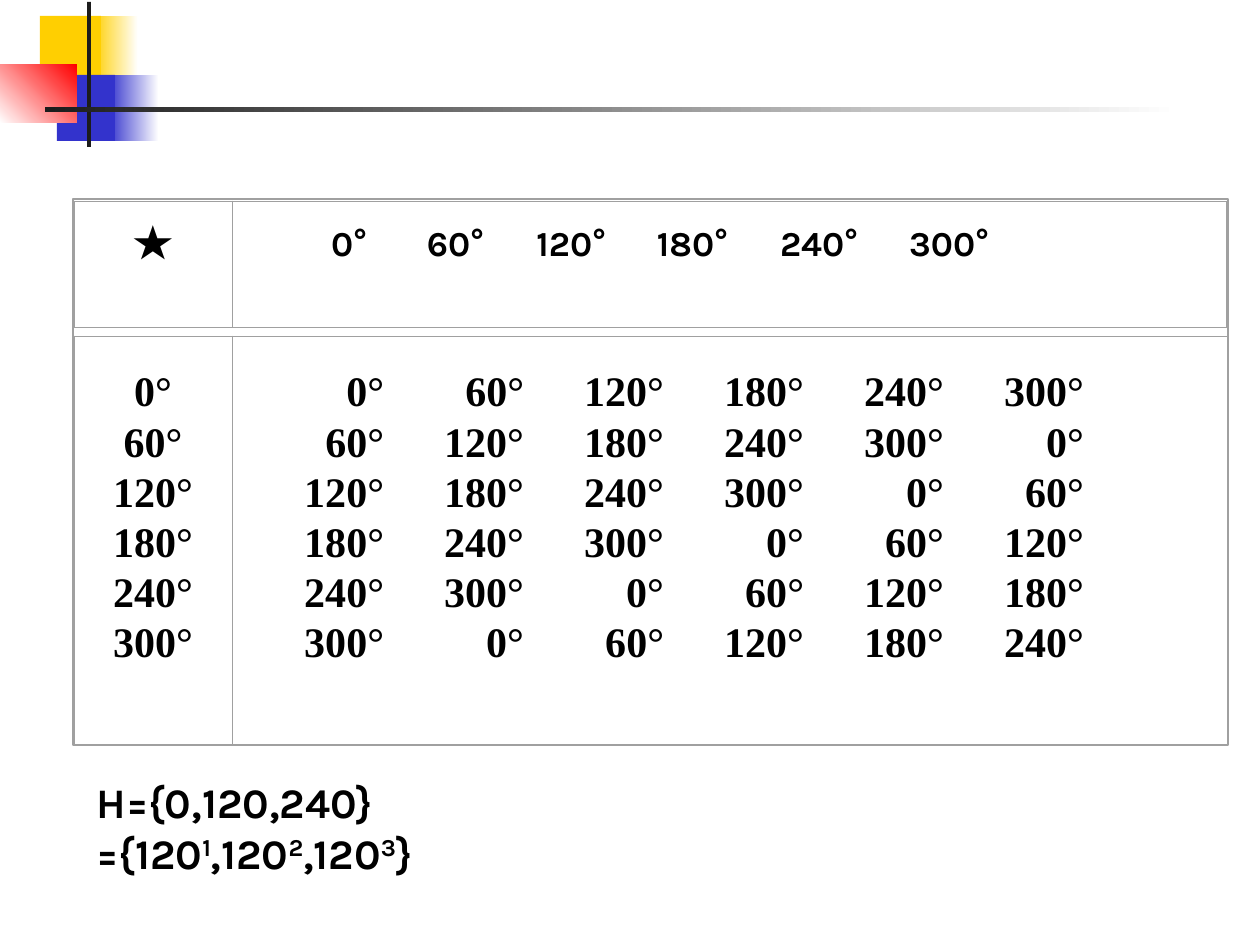
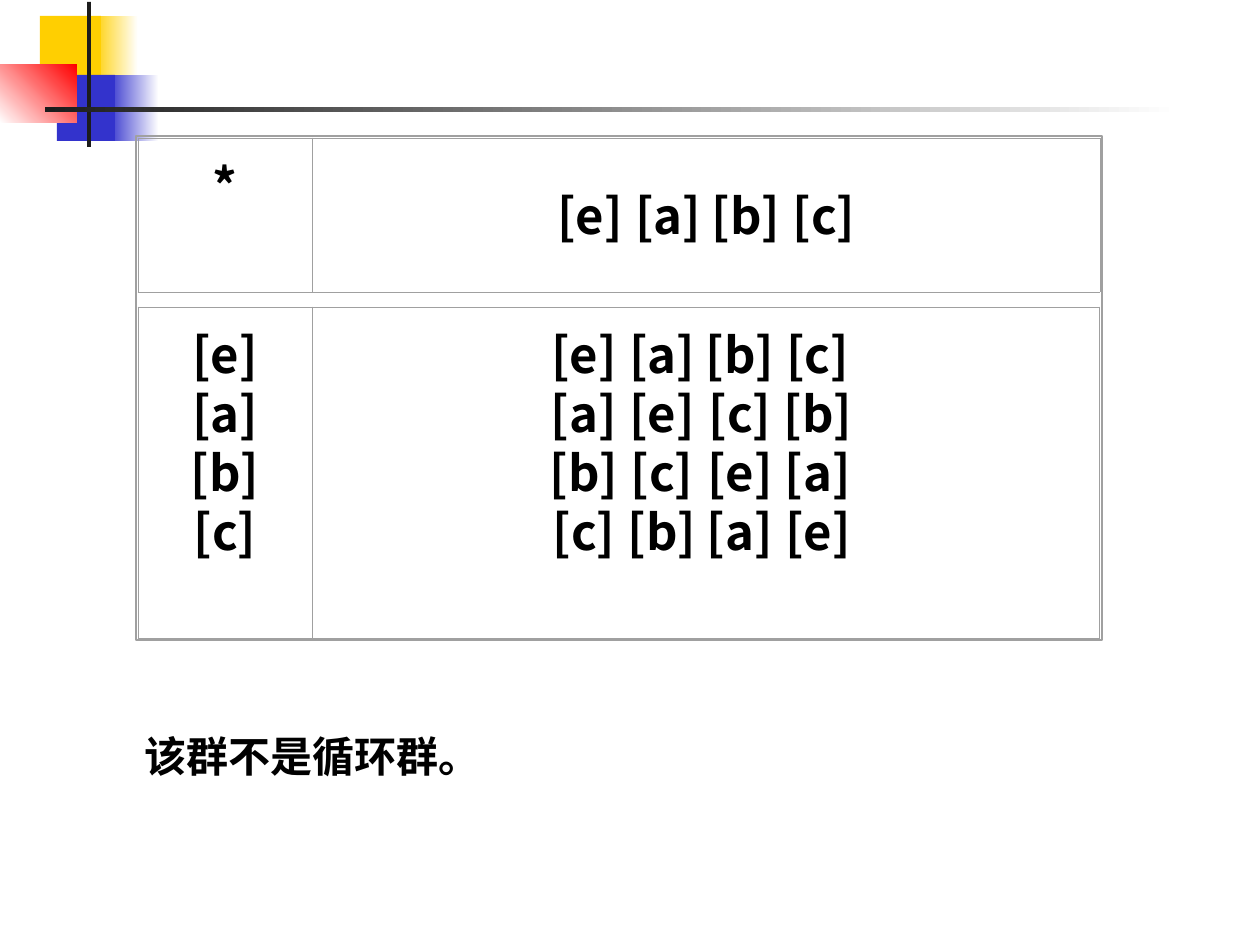
from lxml.etree import SubElement
from pptx import Presentation
from pptx.dml.color import RGBColor
from pptx.enum.shapes import MSO_SHAPE
from pptx.enum.text import MSO_ANCHOR, PP_ALIGN
from pptx.oxml.ns import qn
from pptx.util import Emu, Pt

PX = 914400 / 126
COLORS = {
    "yellow": "FFCF01",
    "blue": "3333CC",
    "red": "FF0000",
    "ink": "1C1C1C",
    "white": "FFFFFF",
    "grid": "A0A0A0",
    "text": "000000",
}
TIMES = {"name": "Times New Roman", "size": Pt(24), "bold": True}
KARLA = {"name": "Karla", "size": Pt(24), "bold": True}
KARLA_SMALL = {**KARLA, "size": Pt(20)}
NOTO = {"name": "Noto Sans CJK SC", "size": Pt(28), "bold": True}
BAND = [
    ((93, 16, 45, 66), ("yellow", "white"), 0),
    ((108, 75, 51, 66), ("blue", "white"), 0),
    ((40, 16, 61, 66), ("yellow",), 0),
    ((57, 75, 58, 66), ("blue",), 0),
    ((0, 65, 77, 58), ("white", "red"), 45),
    ((87, 2, 4, 145), ("ink",), 0),
    ((45, 107, 1134, 5), ("ink", "white"), 0),
]


def px(n):
    return Emu(round(n * PX))


def rgb(key):
    return RGBColor.from_string(COLORS[key])


def add_rect(slide, box):
    s = slide.shapes.add_shape(MSO_SHAPE.RECTANGLE, *map(px, box))
    s.shadow.inherit = False
    return s


def add_band(slide):
    for box, keys, angle in BAND:
        s = add_rect(slide, box)
        s.line.fill.background()
        if len(keys) == 1:
            s.fill.solid()
            s.fill.fore_color.rgb = rgb(keys[0])
            continue
        s.fill.gradient()
        s.fill.gradient_angle = angle
        for stop, key, position in zip(s.fill.gradient_stops, keys, (0, 1)):
            stop.color.rgb = rgb(key)
            stop.position = position


def add_frame(slide, box):
    s = add_rect(slide, box)
    s.fill.background()
    s.line.color.rgb = rgb("grid")
    s.line.width = Pt(0.88)


def add_run(p, text, fmt):
    r = p.add_run()
    r.text = text
    r.font.color.rgb = rgb("text")
    for name, value in fmt.items():
        setattr(r.font, name, value)
    return r


def set_borders(cell, visible):
    tcPr = cell._tc.get_or_add_tcPr()
    for i, side in enumerate("LRTB"):
        ln = SubElement(tcPr, qn(f"a:ln{side}"), w="6350")
        if side in visible:
            fill = SubElement(ln, qn("a:solidFill"))
            SubElement(fill, qn("a:srgbClr"), val=COLORS["grid"])
        else:
            SubElement(ln, qn("a:noFill"))
        tcPr.insert(i, ln)


def add_grid(slide, rows, top, height, pitch, feet, sides, stops, align, formats):
    left, divider, right = sides
    edges = [left, divider, *stops[1:-1], right]
    heights = [pitch] * len(rows)
    heights[-1] += feet[1]
    heights[0] += height - sum(heights)
    last_row, last_col = len(rows) - 1, len(edges) - 2
    tbl = slide.shapes.add_table(
        len(rows), last_col + 1, px(left), px(top), px(right - left), px(height)
    ).table
    tbl.first_row = tbl.horz_banding = False
    for col, start, end in zip(tbl.columns, edges, edges[1:]):
        col.width = px(end - start)
    for i, values in enumerate(rows):
        tbl.rows[i].height = px(heights[i])
        for j, value in enumerate(values):
            cell = tbl.cell(i, j)
            is_value = j > 0
            margins = {
                "margin_left": stops[0] - divider if j == 1 else 0,
                "margin_right": right - stops[-1] if j == last_col else 0,
                "margin_top": 0,
                "margin_bottom": feet[is_value] if i == last_row else 0,
            }
            for name, length in margins.items():
                setattr(cell, name, px(length))
            cell.vertical_anchor = MSO_ANCHOR.BOTTOM
            cell.fill.background()
            visible = {"L": j < 2, "R": j in (0, last_col), "T": i == 0, "B": i == last_row}
            set_borders(cell, [side for side, shown in visible.items() if shown])
            p = cell.text_frame.paragraphs[0]
            p.alignment = align if is_value else PP_ALIGN.CENTER
            p.line_spacing = Pt(round(pitch * 72 / 126, 1))
            add_run(p, value, formats[is_value])


def add_note(slide, box, lines):
    tf = slide.shapes.add_textbox(*map(px, box)).text_frame
    tf.word_wrap = True
    for i, parts in enumerate(lines):
        p = tf.add_paragraph() if i else tf.paragraphs[0]
        p.line_spacing = Pt(29)
        for j, part in enumerate(parts):
            r = add_run(p, part, KARLA)
            if j % 2:
                r._r.get_or_add_rPr().set("baseline", "30000")


def add_rotation_slide(slide):
    angles = [f"{n}°" for n in range(0, 360, 60)]
    body = [[a, *angles[i:], *angles[:i]] for i, a in enumerate(angles)]
    sides = (74, 232, 1227)
    add_grid(slide, [["★", *angles]], 201, 126, 50, (62, 62), sides,
             [232, 367, 484, 606, 728, 858, 989], PP_ALIGN.RIGHT, (TIMES, KARLA_SMALL))
    add_grid(slide, body, 336, 409, 50, (79, 79), sides,
             [232, *range(384, 1100, 140)], PP_ALIGN.RIGHT, (TIMES, TIMES))
    add_frame(slide, (73, 199, 1155, 546))
    add_note(slide, (84, 770, 596, 113), [
        ["H={0,120,240}"],
        ["={120", "1", ",120", "2", ",120", "3", "}"],
    ])


def add_klein_slide(slide):
    classes = [f"[{c}]" for c in "eabc"]
    body = [[c, *(classes[i ^ j] for j in range(4))] for i, c in enumerate(classes)]
    sides = (138, 312, 1100)
    add_grid(slide, [["*", *classes]], 138, 154, 59, (73, 43), sides,
             range(551, 864, 78), PP_ALIGN.CENTER, (NOTO, NOTO))
    add_grid(slide, body, 307, 331, 59, (73, 73), sides,
             range(545, 858, 78), PP_ALIGN.CENTER, (NOTO, NOTO))
    add_frame(slide, (136, 136, 966, 504))
    add_note(slide, (132, 724, 380, 108), [["该群不是循环群。"]])


def main():
    prs = Presentation()
    prs.slide_width, prs.slide_height = px(1260), px(945)
    for build in (add_rotation_slide, add_klein_slide):
        slide = prs.slides.add_slide(prs.slide_layouts[6])
        add_band(slide)
        build(slide)
    prs.save("out.pptx")


if __name__ == "__main__":
    main()
